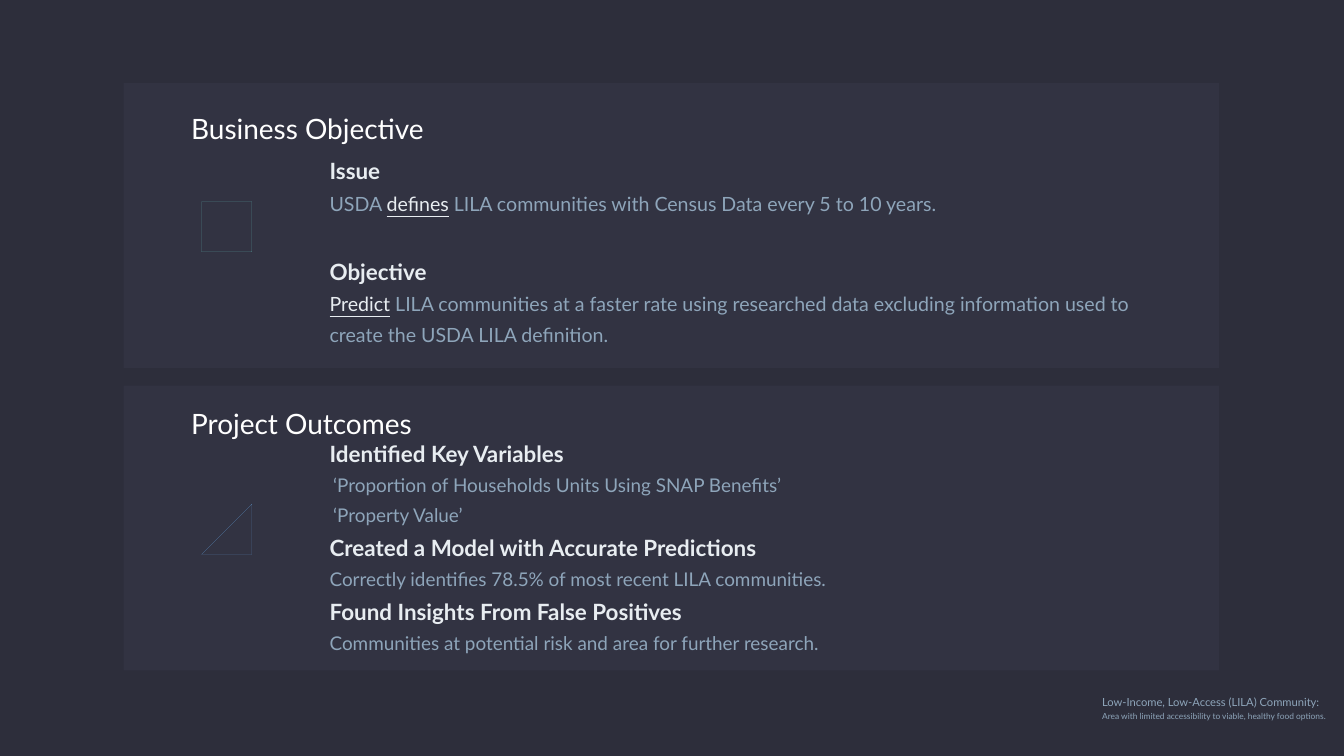
from collections import namedtuple
from dataclasses import dataclass
from math import asin, cos, degrees, pi, radians, sin

from lxml.etree import SubElement
from pptx import Presentation
from pptx.dml.color import RGBColor
from pptx.enum.shapes import MSO_SHAPE as SHAPE
from pptx.enum.text import MSO_ANCHOR as ANCHOR, MSO_AUTO_SIZE as AUTO
from pptx.oxml.ns import qn
from pptx.util import Inches, Pt


@dataclass(frozen=True)
class Theme:
    font: str = "Lato"
    back: str = "2D2E3B"
    panel: str = "8E92BB"
    panel_alpha: int = 6
    white: str = "FFFFFF"
    bright: str = "E8EDF1"
    muted: str = "8EA5BA"
    teal: str = "72F2E3"
    blue: str = "6AB2F2"
    heading: int = 40
    topic: int = 32
    body: int = 28
    item: int = 27
    note: int = 16
    small: int = 12


T = Theme()
W, H = 26.67, 15
COL, ROW = W / 100, H / 100  # grid of 100 columns by 100 rows
Box = namedtuple("Box", "x y w h")


def inches(box):
    return [Inches(v * unit) for v, unit in zip(box, (COL, ROW, COL, ROW))]


def within(box, dx, dy, w, h):
    return Box(box.x + dx, box.y + dy, w, h)


def para(*runs, **fmt):
    """A paragraph: runs are strings, or (string, run format) pairs."""
    return runs, fmt


def add_text(slide, box, paras, anchor=ANCHOR.MIDDLE, spacing=1.3, **base):
    tf = slide.shapes.add_textbox(*inches(box)).text_frame
    tf.word_wrap = True
    tf.auto_size = AUTO.SHAPE_TO_FIT_TEXT
    tf.vertical_anchor = anchor
    tf.margin_left = tf.margin_right = tf.margin_top = tf.margin_bottom = Inches(0.06)
    for i, (runs, fmt) in enumerate(paras):
        p = tf.add_paragraph() if i else tf.paragraphs[0]
        p.line_spacing = spacing
        f = {**base, **fmt}
        if f.get("before"):
            p.space_before = Pt(f["before"])
        if f.get("indent"):
            p._p.get_or_add_pPr().set("marL", str(Inches(f["indent"])))
        for run in runs:
            words, extra = (run, {}) if isinstance(run, str) else run
            rf = {**f, **extra}
            r = p.add_run()
            r.text = words
            r.font.name = T.font
            r.font.size = Pt(rf["size"])
            r.font.bold = rf.get("bold", False)
            r.font.underline = rf.get("underline", False)
            r.font.color.rgb = RGBColor.from_string(rf["color"])


def paint(sp, color, alpha=None):
    sp.shadow.inherit = False
    sp.line.fill.background()
    sp.fill.solid()
    sp.fill.fore_color.rgb = RGBColor.from_string(color)
    if alpha:
        clr = sp._element.spPr.find(".//" + qn("a:srgbClr"))
        SubElement(clr, qn("a:alpha")).set("val", str(alpha * 1000))


def add_outline(slide, cx, cy, contours, color):
    """One filled shape from closed contours, in inches around a centre."""
    pts = [[(cx + x, cy + y) for x, y in c] for c in contours]
    fb = slide.shapes.build_freeform(*pts[0][0], scale=Inches(1))
    fb.add_line_segments(pts[0][1:])
    for c in pts[1:]:
        fb.move_to(*c[0])
        fb.add_line_segments(c[1:])
    paint(fb.convert_to_shape(), color)


# Icons
def notched_ring(radius, tip, half=0.04):
    """Circle with four round-ended ticks reaching to tip."""
    side = 1 if tip > radius else -1
    skip = degrees(asin(half / radius))
    steps = 16
    points = []
    for quarter in range(0, 360, 90):
        turn = radians(quarter)
        for i in range(7):
            t = -pi / 2 + i * pi / 6
            x, y = tip + side * half * (cos(t) - 1), half * sin(t)
            points.append((x * cos(turn) - y * sin(turn),
                           x * sin(turn) + y * cos(turn)))
        for i in range(steps + 1):
            t = radians(quarter + skip + i * (90 - 2 * skip) / steps)
            points.append((radius * cos(t), radius * sin(t)))
    return points


def target_icon(slide, cx, cy):
    add_outline(slide, cx, cy,
                [notched_ring(0.54, 0.61), notched_ring(0.46, 0.38)], T.teal)


def layers_icon(slide, cx, cy):
    rim = [(0.72, -0.38), (0, -0.6), (-0.72, 0.02), (-0.44, 0.1),
           (-0.72, 0.37), (0, 0.59), (0.72, -0.03), (0.4, -0.11)]
    top = [(-0.61, -0.01), (0, -0.54), (0.6, -0.36), (-0.01, 0.17)]
    low = [(0.6, 0), (-0.01, 0.53), (-0.62, 0.34), (-0.38, 0.12),
           (-0.01, 0.23), (0.35, -0.06)]
    add_outline(slide, cx, cy, [rim, top, low], T.blue)


# Regions
def add_panel(slide, box, heading, icon, paras, head_dy, body_dy, body_h):
    sp = slide.shapes.add_shape(SHAPE.RECTANGLE, *inches(box))
    paint(sp, T.panel, T.panel_alpha)
    icon(slide, (box.x + 8.27) * COL, (box.y + 20.9) * ROW)
    add_text(slide, within(box, 15.1, body_dy, 61.9, body_h), paras)
    add_text(slide, within(box, 4.8, head_dy, 35, 5.6), [para(heading)],
             anchor=ANCHOR.TOP, spacing=1.2, size=T.heading, color=T.white)


def add_footnote(slide, box):
    add_text(slide, box, [
        para("Low-Income, Low-Access (LILA) Community:", size=T.note),
        para("Area with limited accessibility to viable, healthy food options.",
             size=T.small),
    ], color=T.muted)


def main():
    prs = Presentation()
    prs.slide_width, prs.slide_height = Inches(W), Inches(H)
    slide = prs.slides.add_slide(prs.slide_layouts[6])
    slide.background.fill.solid()
    slide.background.fill.fore_color.rgb = RGBColor.from_string(T.back)

    topic = dict(size=T.topic, color=T.bright, bold=True)
    body = dict(size=T.body, color=T.muted)
    item = dict(size=T.item, color=T.muted)
    key = dict(color=T.bright, underline=True)

    objective = [
        para("Issue", **topic),
        para("USDA ", ("defines", key),
             " LILA communities with Census Data every 5 to 10 years.", **body),
        para("Objective", before=50, **topic),
        para(("Predict", key),
             " LILA communities at a faster rate using researched data excluding "
             "information used to create the USDA LILA definition.", **body),
    ]
    outcomes = [
        para("Identified Key Variables", **topic),
        para("‘Proportion of Households Units Using SNAP Benefits’",
             indent=0.07, **item),
        para("‘Property Value’", indent=0.07, **item),
        para("Created a Model with Accurate Predictions", **topic),
        para("Correctly identifies 78.5% of most recent LILA communities.", **item),
        para("Found Insights From False Positives", **topic),
        para("Communities at potential risk and area for further research.", **item),
    ]
    add_panel(slide, Box(9.2, 11, 81.5, 37.67), "Business Objective",
              target_icon, objective, head_dy=2.53, body_dy=8.53, body_h=26.5)
    add_panel(slide, Box(9.2, 51, 81.5, 37.67), "Project Outcomes",
              layers_icon, outcomes, head_dy=1.53, body_dy=5.87, body_h=30)
    add_footnote(slide, Box(81.78, 91.13, 18.2, 4.6))
    prs.save("out.pptx")


if __name__ == "__main__":
    main()
